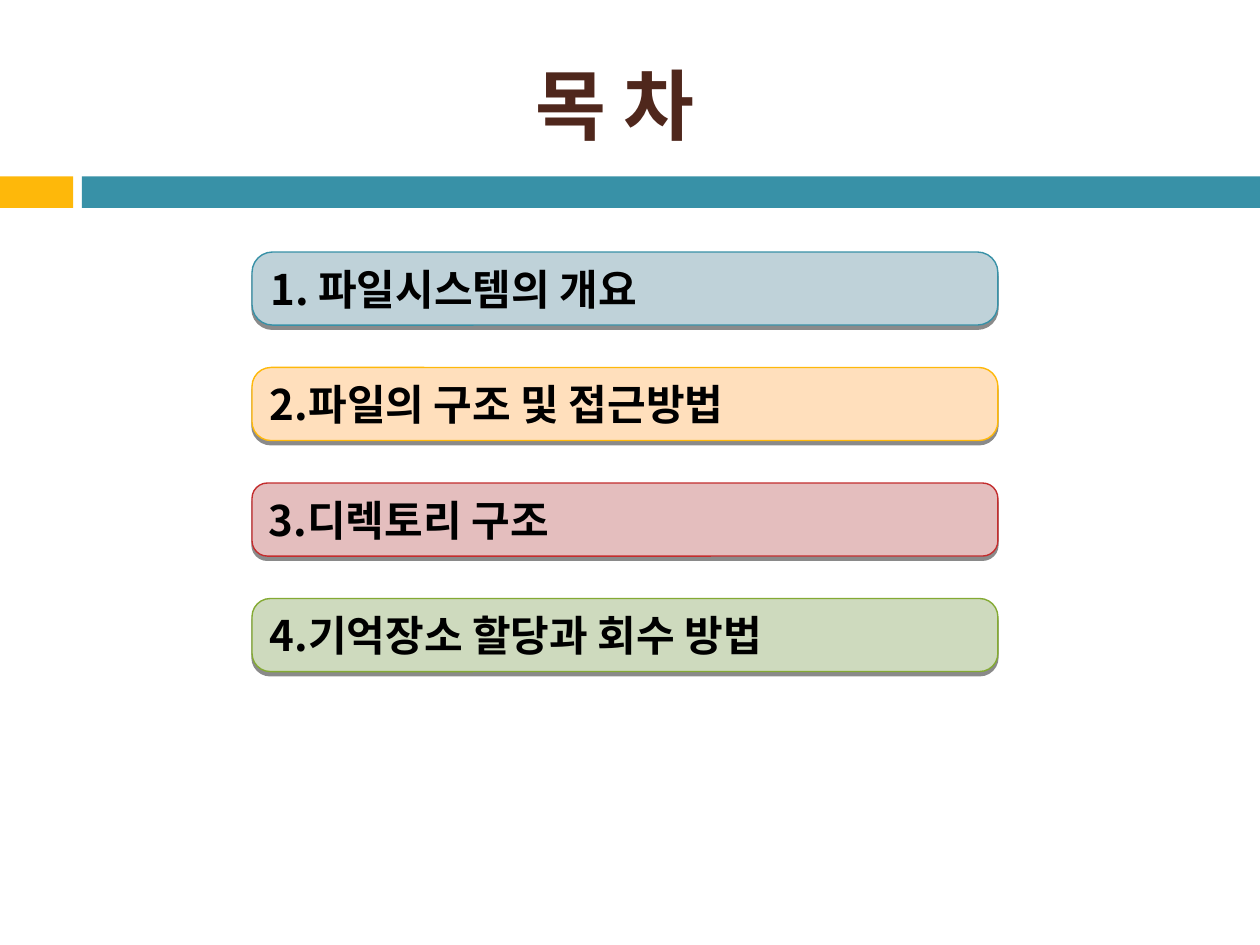
"""Build the table-of-contents slide of a file system lecture."""
from lxml import etree
from pptx import Presentation
from pptx.dml.color import RGBColor
from pptx.enum.shapes import MSO_SHAPE
from pptx.enum.text import MSO_ANCHOR, PP_ALIGN
from pptx.oxml import parse_xml
from pptx.oxml.ns import nsdecls, qn
from pptx.util import Inches, Pt

RECTANGLE = MSO_SHAPE.RECTANGLE
ROUNDED = MSO_SHAPE.ROUNDED_RECTANGLE
MIDDLE = MSO_ANCHOR.MIDDLE
LEFT, CENTER = PP_ALIGN.LEFT, PP_ALIGN.CENTER
FONT = "Noto Sans CJK KR"
COLORS = {
    "title": "4F271C", "text": "000000", "shadow": "000000",
    "teal": "3891A7", "amber": "FEB80A", "red": "C32D2E", "green": "84AA33",
    "pale teal": "BFD2D9", "pale amber": "FFDFBC",
    "pale red": "E4BEBE", "pale green": "CEDABE",
}
ITEMS = [
    ("1. 파일시스템의 개요", "teal", 0.28),
    ("2.파일의 구조 및 접근방법", "amber", 0.26),
    ("3.디렉토리 구조", "red", 0.21),
    ("4.기억장소 할당과 회수 방법", "green", 0.25),
]
ITEM_LEFT, ITEM_TOP, ITEM_WIDTH, ITEM_HEIGHT = 2, 2, 5.92, 0.58
ROW_STEP = 2.75 / 3
SHADOW = (
    f'<a:effectLst {nsdecls("a")}><a:outerShdw blurRad="0" dist="{Pt(2.4)}" '
    f'dir="5400000" rotWithShape="0"><a:srgbClr val="{COLORS["shadow"]}">'
    '<a:alpha val="45000"/></a:srgbClr></a:outerShdw></a:effectLst>'
)


def write_text(shape, text, size, color, alignment):
    frame = shape.text_frame
    frame.word_wrap = True
    frame.vertical_anchor = MIDDLE
    paragraph = frame.paragraphs[0]
    paragraph.alignment = alignment
    run = paragraph.add_run()
    run.text = text
    run.font.size = Pt(size)
    run.font.bold = True
    run.font.name = FONT
    run.font.color.rgb = RGBColor.from_string(COLORS[color])
    etree.SubElement(run.font._element, qn("a:ea"), typeface=FONT)


def add_box(kind, left, top, width, height, fill):
    shape = slide.shapes.add_shape(
        kind, Inches(left), Inches(top), Inches(width), Inches(height))
    shape.shadow.inherit = False
    shape.fill.solid()
    shape.fill.fore_color.rgb = RGBColor.from_string(COLORS[fill])
    shape.line.fill.background()
    return shape


presentation = Presentation()
presentation.slide_width, presentation.slide_height = Inches(10), Inches(7.5)
slide = presentation.slides.add_slide(presentation.slide_layouts[5])

add_box(RECTANGLE, 0, 1.4, 0.58, 0.25, "amber")
add_box(RECTANGLE, 0.65, 1.4, 9.35, 0.25, "teal")

title = slide.shapes.title
title.left, title.top = Inches(0.42), Inches(0.28)
title.width, title.height = Inches(8.92), Inches(1.08)
write_text(title, "목 차", 44, "title", CENTER)

for row, (text, color, rounding) in enumerate(ITEMS):
    item = add_box(ROUNDED, ITEM_LEFT, ITEM_TOP + row * ROW_STEP,
                   ITEM_WIDTH, ITEM_HEIGHT, f"pale {color}")
    item.adjustments[0] = rounding
    item.line.color.rgb = RGBColor.from_string(COLORS[color])
    item.line.width = Pt(0.79)
    properties = item._element.spPr
    properties.replace(properties.find(qn("a:effectLst")), parse_xml(SHADOW))
    write_text(item, text, 24, "text", LEFT)

presentation.save("out.pptx")
